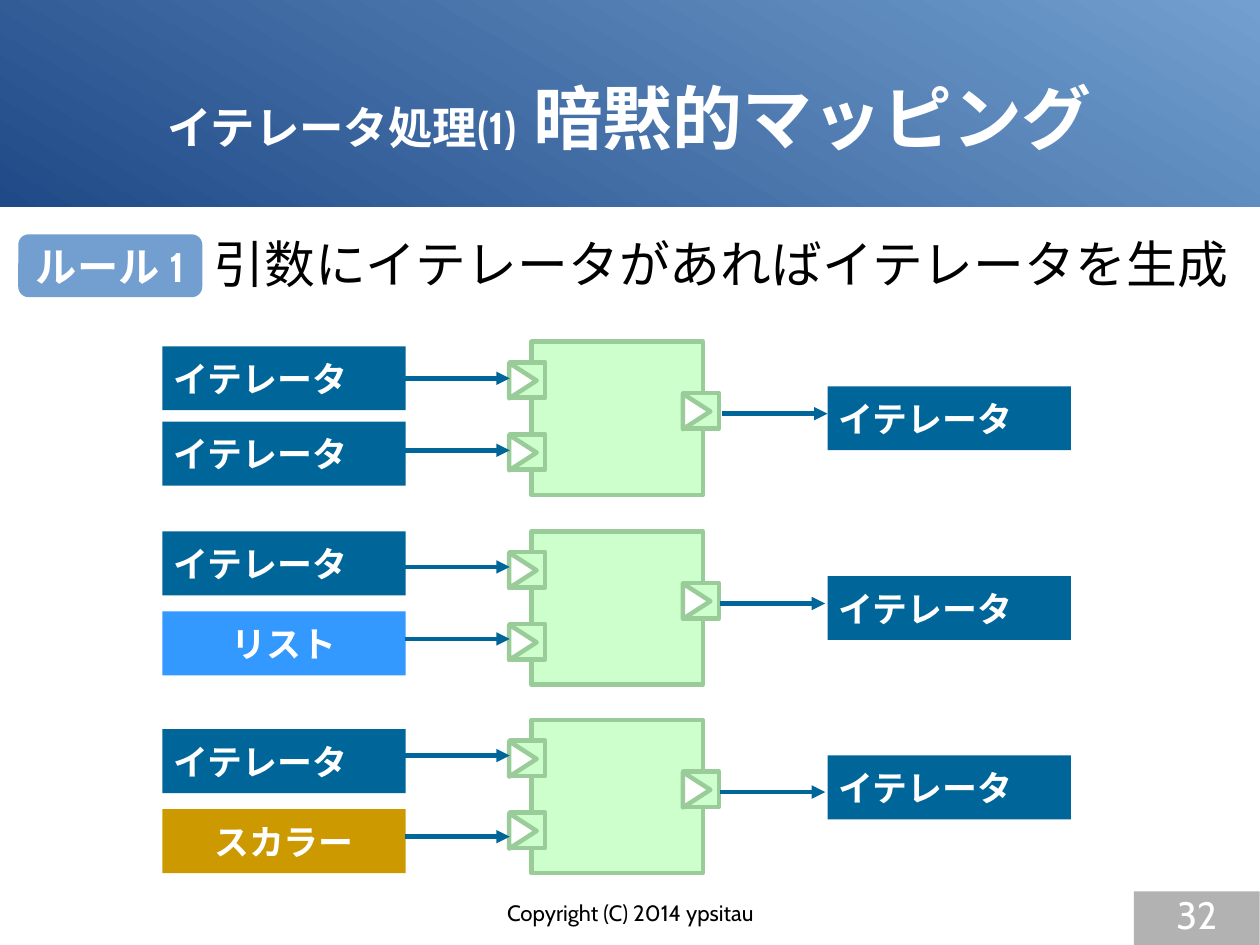
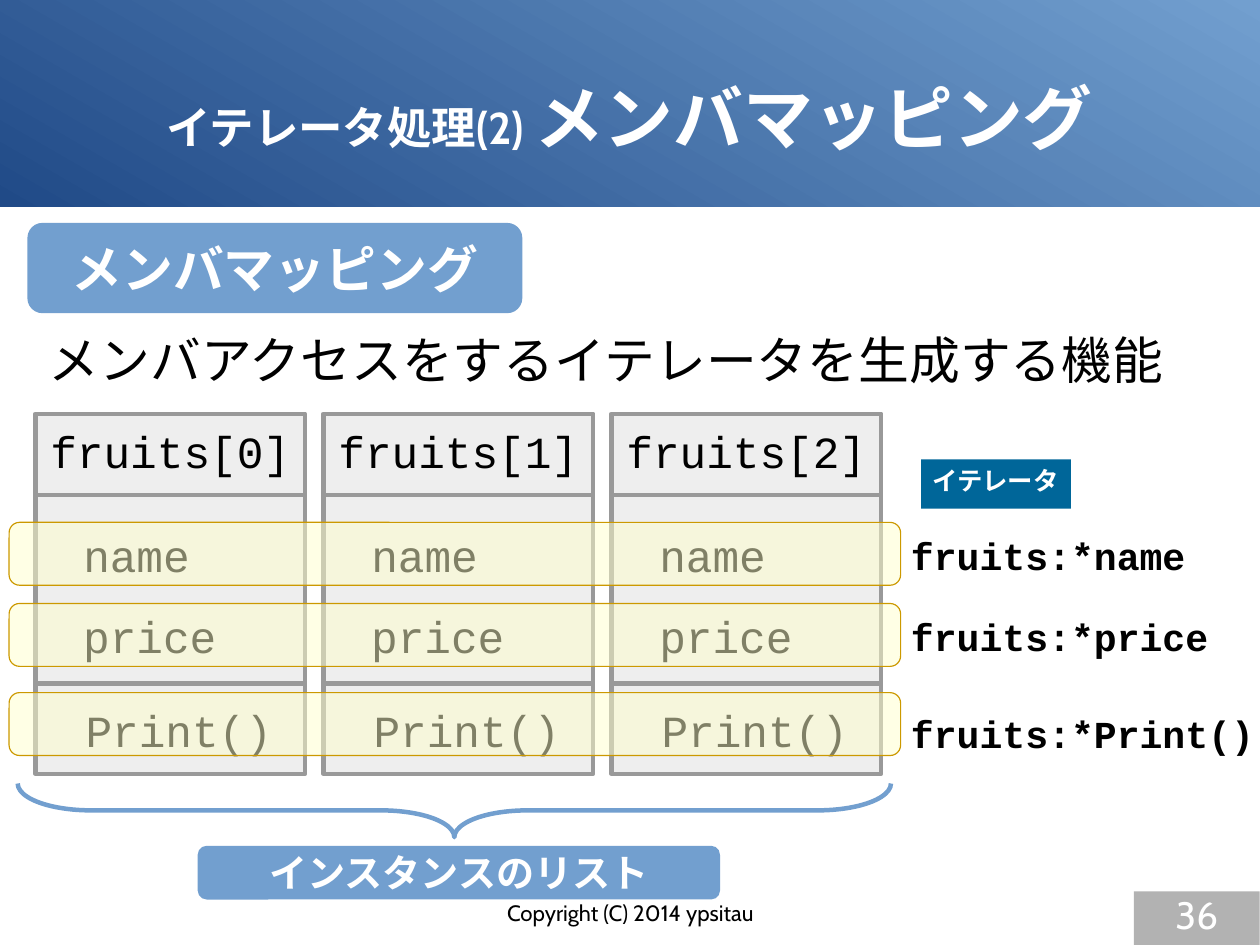
from lxml.etree import SubElement
from pptx import Presentation
from pptx.dml.color import RGBColor
from pptx.enum.shapes import MSO_CONNECTOR, MSO_SHAPE
from pptx.enum.text import MSO_ANCHOR, PP_ALIGN
from pptx.oxml.ns import qn
from pptx.util import Inches, Pt

SANS, MONO = "Cabin", "Courier New"
WHITE, BLACK = "FFFFFF", "000000"
NAVY, SKY, TEAL = "204A87", "729FCF", "006699"
BLUE, GOLD, CREAM = "3399FF", "CC9900", "FFFFCC"
GREEN, DARK_GREEN = "CCFFCC", "99CC99"
PALE_GRAY, MID_GRAY, GRAY = "EEEEEE", "B2B2B2", "999999"
LINE_WIDTH = 2.83
RECT, ROUND = MSO_SHAPE.RECTANGLE, MSO_SHAPE.ROUNDED_RECTANGLE
LEFT, CENTER = PP_ALIGN.LEFT, PP_ALIGN.CENTER
TOP, MIDDLE = MSO_ANCHOR.TOP, MSO_ANCHOR.MIDDLE


def add_box(shapes, kind, at, fill=None, line=None, width=LINE_WIDTH, runs=(),
            font=SANS, color=WHITE, bold=False, align=CENTER, anchor=MIDDLE,
            inset=(0.1, 0.05), wrap=False):
    """Add a preset shape, or a text box if kind is None; runs are (text, size) pairs."""
    at = [Inches(v) for v in at]
    if kind is None:
        sp = shapes.add_textbox(*at)
    else:
        sp = shapes.add_shape(kind, *at)
        sp.shadow.inherit = False
        if fill:
            sp.fill.solid()
            sp.fill.fore_color.rgb = RGBColor.from_string(fill)
        else:
            sp.fill.background()
        if line:
            sp.line.color.rgb = RGBColor.from_string(line)
            sp.line.width = Pt(width)
        else:
            sp.line.fill.background()
    if runs:
        tf = sp.text_frame
        tf.word_wrap = wrap
        tf.vertical_anchor = anchor
        tf.margin_left = tf.margin_right = Inches(inset[0])
        tf.margin_top = tf.margin_bottom = Inches(inset[1])
        p = tf.paragraphs[0]
        p.alignment = align
        for text, size in runs:
            r = p.add_run()
            r.text = text
            r.font.name, r.font.size, r.font.bold = font, Pt(size), bold
            r.font.color.rgb = RGBColor.from_string(color)
    return sp


def add_line(shapes, x1, x2, y, color, arrow=False):
    """Add a horizontal line, with an arrowhead at x2 if asked."""
    c = shapes.add_connector(MSO_CONNECTOR.STRAIGHT, Inches(x1), Inches(y),
                             Inches(x2), Inches(y))
    c.line.color.rgb = RGBColor.from_string(color)
    c.line.width = Pt(LINE_WIDTH)
    spPr = c._element.spPr
    if arrow:
        SubElement(spPr.find(qn("a:ln")), qn("a:tailEnd"), type="triangle")
    SubElement(spPr, qn("a:effectLst"))


# 28 by 21 centimetres
prs = Presentation()
prs.slide_width, prs.slide_height = Inches(28 / 2.54), Inches(21 / 2.54)

# Title band and footer of both slides
titles = [
    ("32", [("イテレータ処理(1)", 28), (" 暗黙的マッピング", 44)]),
    ("36", [("イテレータ処理(2) ", 28), ("メンバマッピング", 44)]),
]
for number, title in titles:
    s = prs.slides.add_slide(prs.slide_layouts[6])
    band = add_box(s.shapes, RECT, (0, 0, 28 / 2.54, 1.81))
    band.fill.gradient()
    band.fill.gradient_angle = 60
    for position, (stop, color) in enumerate(zip(band.fill.gradient_stops, (NAVY, SKY))):
        stop.color.rgb = RGBColor.from_string(color)
        stop.position = position
    add_box(s.shapes, None, (0.55, 0.33, 9.92, 1.38), runs=title, bold=True,
            inset=(0, 0), wrap=True)
    add_box(s.shapes, None, (3.77, 7.87, 3.49, 0.41), color=BLACK, anchor=TOP,
            runs=[("Copyright (C) 2014 ypsitau", 14)], inset=(0, 0), wrap=True)
    add_box(s.shapes, RECT, (9.92, 7.8, 1.1, 0.47), MID_GRAY, anchor=TOP,
            runs=[(number, 24)], inset=(0, 0), wrap=True)

mapping, members = [s.shapes for s in prs.slides]

# Implicit mapping: two inputs, a function and its output in each row
add_box(mapping, ROUND, (0.16, 2.05, 1.61, 0.55), SKY, runs=[("ルール 1", 26)], bold=True)
add_box(mapping, None, (1.77, 1.99, 9.1, 0.77), color=BLACK, align=LEFT, anchor=TOP,
        runs=[("引数にイテレータがあればイテレータを生成", 32)])

ITERATOR = ("イテレータ", TEAL, LEFT)
LIST = ("リスト", BLUE, CENTER)
SCALAR = ("スカラー", GOLD, CENTER)
# function top, (input, its top, its arrow) twice, output top, output arrow start and height
rows = [
    (2.99, [(ITERATOR, 3.03, 3.31), (ITERATOR, 3.69, 3.94)], 3.38, 6.32, 3.62),
    (4.65, [(ITERATOR, 4.65, 4.96), (LIST, 5.35, 5.59)], 5.04, 6.3, 5.28),
    (6.3, [(ITERATOR, 6.38, 6.61), (SCALAR, 7.08, 7.32)], 6.61, 6.3, 6.93),
]
for top, inputs, output_top, output_x, output_y in rows:
    function = mapping.add_group_shape().shapes
    add_box(function, RECT, (4.65, top, 1.5, 1.34), GREEN, DARK_GREEN)
    for x, dy in [(4.46, 0.18), (4.46, 0.81), (5.98, 0.45)]:
        add_box(function, RECT, (x, top + dy, 0.31, 0.31), GREEN, DARK_GREEN)
        port = add_box(function, MSO_SHAPE.ISOSCELES_TRIANGLE,
                       (x - 0.04, top + dy + 0.04, 0.31, 0.24), WHITE, DARK_GREEN)
        port.rotation = 90
    values = [(1.42, y, value) for value, y, _ in inputs] + [(7.24, output_top, ITERATOR)]
    for x, y, (label, fill, align) in values:
        add_box(mapping, RECT, (x, y, 2.13, 0.56), fill, runs=[(label, 22)],
                font=MONO, bold=True, align=align, wrap=True)
    for _, _, y in inputs:
        add_line(mapping, 3.54, 4.46, y, TEAL, arrow=True)
    add_line(mapping, output_x, output_x + 0.92, output_y, TEAL, arrow=True)

# Member mapping: one card per instance, one highlight per member
add_box(members, ROUND, (0.24, 1.95, 4.33, 0.79), SKY, bold=True,
        runs=[("メンバマッピング", 32)])
add_box(members, None, (0.33, 2.83, 9.99, 0.77), color=BLACK, align=LEFT, anchor=TOP,
        runs=[("メンバアクセスをするイテレータを生成する機能", 32)])

# name, text left within the card, text width, text top, highlight top, label top, label width
fields = [
    ("name", 0.32, 1.15, 4.57, 4.57, 4.61, 2.6),
    ("price", 0.32, 1.4, 5.28, 5.28, 5.32, 2.8),
    ("Print()", 0.34, 1.85, 6.1, 6.06, 6.17, 3.2),
]
for i in range(3):
    x = 0.31 + 2.52 * i
    add_box(members, RECT, (x, 3.62, 2.36, 3.15), PALE_GRAY, GRAY)
    for y in (4.33, 5.98):
        add_line(members, x, x + 2.36, y, GRAY)
    add_box(members, None, (x, 3.67, 2.36, 0.54), runs=[(f"fruits[{i}]", 28)],
            font=MONO, color=BLACK)
    for name, dx, w, y, *_ in fields:
        add_box(members, None, (x + dx, y, w, 0.54), runs=[(name, 28)],
                font=MONO, color=BLACK, align=LEFT, anchor=TOP)

brace = add_box(members, MSO_SHAPE.RIGHT_BRACE, (3.74, 3.27, 0.47, 7.64), line=SKY)
brace.adjustments[0] = 1.36
brace.rotation = 90
add_box(members, RECT, (8.06, 4.02, 1.31, 0.43), TEAL, runs=[("イテレータ", 16)],
        font=MONO, bold=True, align=LEFT, anchor=TOP, wrap=True)

for name, _, _, _, highlight_top, label_top, label_width in fields:
    highlight = add_box(members, ROUND, (0.08, highlight_top, 7.8, 0.55), CREAM, GOLD, 0)
    color = highlight._element.spPr.find(qn("a:solidFill"))[0]
    SubElement(color, qn("a:alpha"), val="50000")
    add_box(members, None, (7.87, label_top, label_width, 0.48), font=MONO, color=BLACK,
            runs=[(f"fruits:*{name}", 24)], bold=True, anchor=TOP)

add_box(members, ROUND, (1.73, 7.4, 4.57, 0.47), SKY, bold=True,
        runs=[("インスタンスのリスト", 24)])

prs.save("out.pptx")
